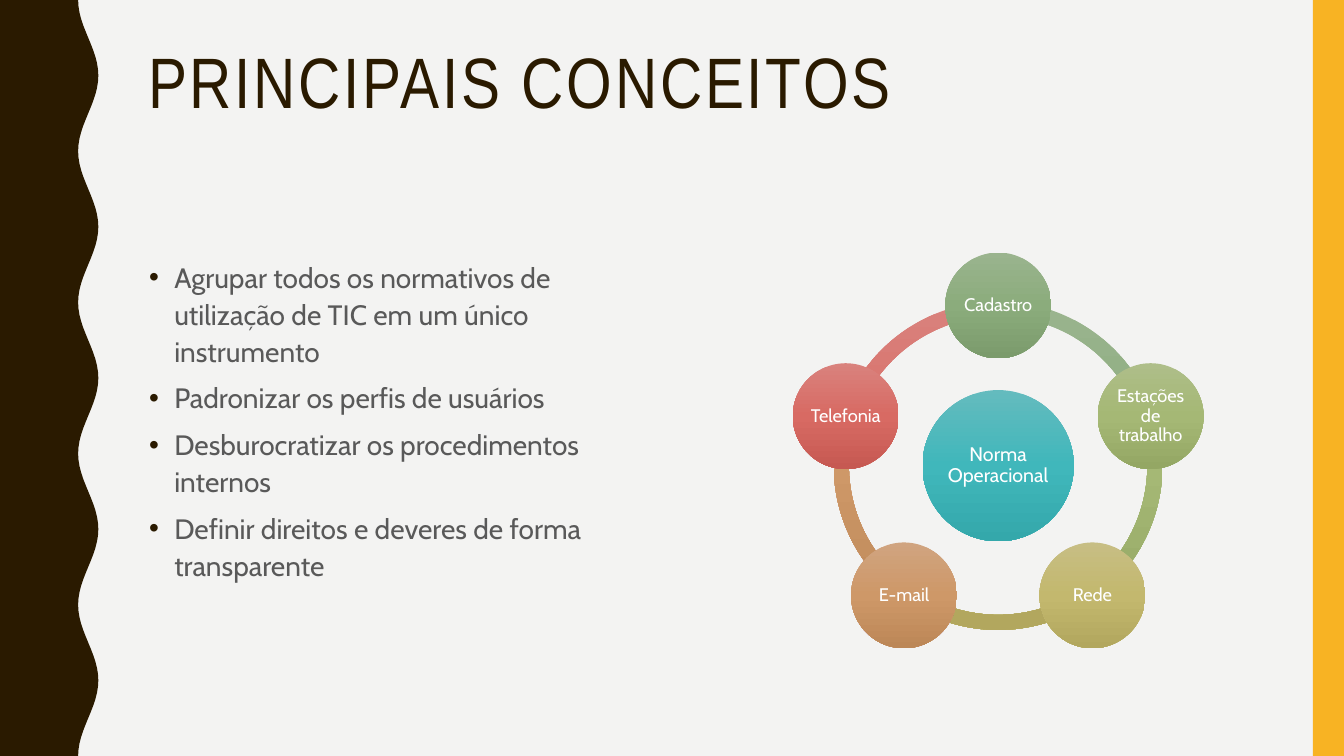
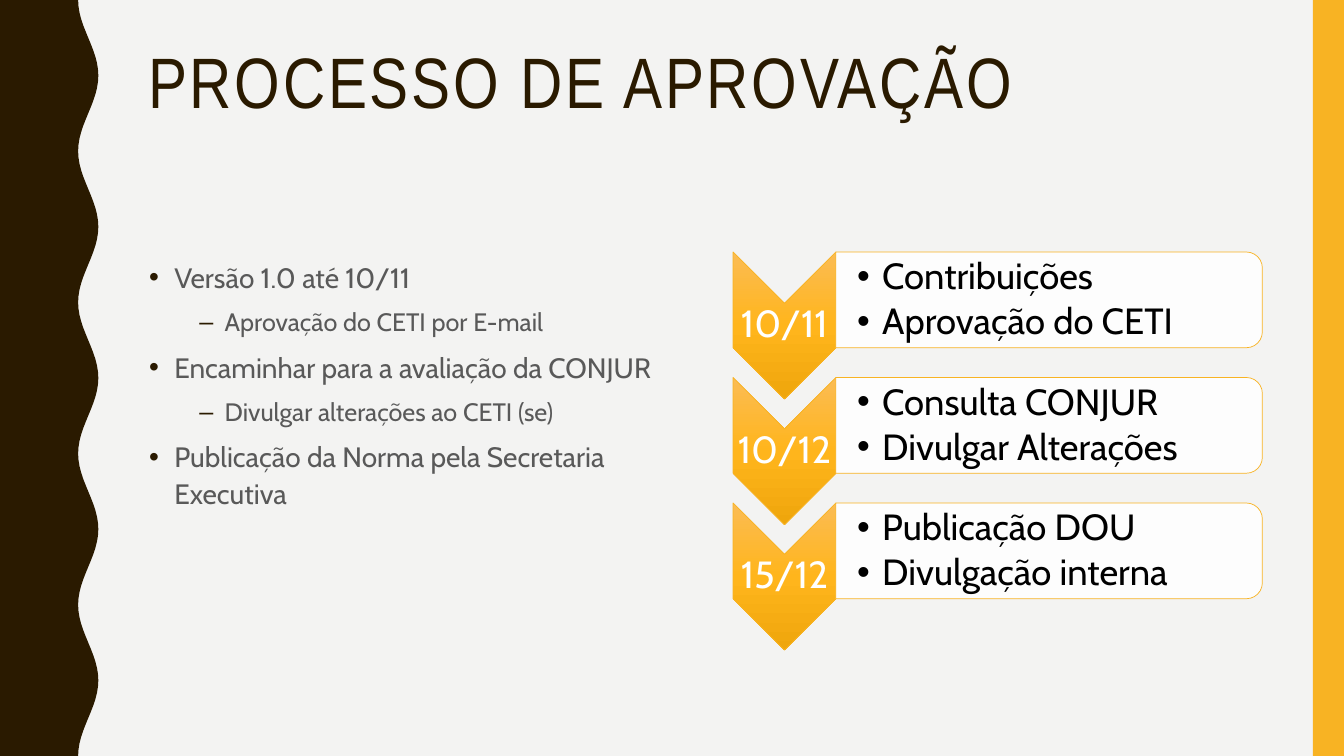
"""Builds two slides: the key concepts of the operational standard and its approval process."""
import math

import lxml.etree
import pptx
import pptx.dml.color
import pptx.enum.shapes
import pptx.enum.text
import pptx.oxml
import pptx.oxml.ns
import pptx.util

Inches = pptx.util.Inches
Pt = pptx.util.Pt
RGB = pptx.dml.color.RGBColor.from_string
SHAPE = pptx.enum.shapes.MSO_SHAPE
ANCHOR = pptx.enum.text.MSO_ANCHOR
ALIGN = pptx.enum.text.PP_ALIGN
qn = pptx.oxml.ns.qn

COLORS = {
    "paper": "F3F3F2",
    "brown": "2A1A00",
    "amber": "F8B323",
    "gray": "595959",
    "white": "FFFFFF",
    "black": "000000",
}
GRADIENTS = {
    "teal": ("64BBBE", "40B7BB", "34A8AB"),
    "green": ("9AB48E", "8BAC7C", "7B9B6C"),
    "olive": ("AEBE89", "A5B875", "94A764"),
    "khaki": ("C7BE84", "C3B86E", "B2A75E"),
    "copper": ("D0A480", "CE9868", "BC8757"),
    "red": ("D9827D", "D86A63", "C65952"),
    "amber": ("FBBC54", "FFB51C", "EFA60C"),
}


def add_gradient_shape(slide, kind, center_x, center_y, width, height, gradient, angle=90):
    """Adds a centred preset shape with a three-stop gradient and no outline."""
    shape = slide.shapes.add_shape(kind, Inches(center_x - width / 2), Inches(center_y - height / 2),
                                   Inches(width), Inches(height))
    shape.shadow.inherit = False
    shape.line.fill.background()
    stops = "".join(f'<a:gs pos="{i * 50000}"><a:srgbClr val="{color}"/></a:gs>'
                    for i, color in enumerate(GRADIENTS[gradient]))
    fill = pptx.oxml.parse_xml(
        f'<a:gradFill {pptx.oxml.ns.nsdecls("a")} rotWithShape="1"><a:gsLst>{stops}</a:gsLst>'
        f'<a:lin ang="{angle * 60000}" scaled="0"/></a:gradFill>')
    shape._element.spPr.find(qn("a:prstGeom")).addnext(fill)
    return shape


def write(frame, lines, size, color, font="Cabin", align=ALIGN.LEFT, anchor=ANCHOR.MIDDLE,
          inset=0.02, left_inset=None, spacing=0.9, before=0, after=0, bullet_color=None):
    """Fills a text frame with (text, level) lines, bulleted when a bullet colour is given."""
    frame.word_wrap = True
    frame.vertical_anchor = anchor
    frame.margin_left = Inches(inset if left_inset is None else left_inset)
    frame.margin_right = frame.margin_top = frame.margin_bottom = Inches(inset)
    frame.text = "\n".join(text for text, level in lines)
    for paragraph, (text, level) in zip(frame.paragraphs, lines):
        paragraph.alignment = align
        paragraph.line_spacing = spacing
        paragraph.space_before = Pt(before)
        paragraph.space_after = Pt(after)
        run = paragraph.runs[0]
        run.font.size = Pt(size - 2 * level)
        run.font.name = font
        run.font.color.rgb = RGB(COLORS[color])
        if bullet_color:
            paragraph.level = level
            properties = paragraph._p.get_or_add_pPr()
            properties.set("marL", str(Inches(0.25 + 0.5 * level)))
            properties.set("indent", str(Inches(-0.25)))
            tint = lxml.etree.SubElement(properties, qn("a:buClr"))
            lxml.etree.SubElement(tint, qn("a:srgbClr")).set("val", COLORS[bullet_color])
            lxml.etree.SubElement(properties, qn("a:buFont")).set("typeface", "Arial")
            lxml.etree.SubElement(properties, qn("a:buChar")).set("char", "•–"[level])


deck = pptx.Presentation()
deck.slide_width = Inches(13.33)
deck.slide_height = Inches(7.5)
background = deck.slide_master.background.fill
background.solid()
background.fore_color.rgb = RGB(COLORS["paper"])

contents = [
    ("PRINCIPAIS CONCEITOS", [
        ("Agrupar todos os normativos de utilização de TIC em um único instrumento", 0),
        ("Padronizar os perfis de usuários", 0),
        ("Desburocratizar os procedimentos internos", 0),
        ("Definir direitos e deveres de forma transparente", 0),
    ]),
    ("PROCESSO DE APROVAÇÃO", [
        ("Versão 1.0 até 10/11", 0),
        ("Aprovação do CETI por E-mail", 1),
        ("Encaminhar para a avaliação da CONJUR", 0),
        ("Divulgar alterações ao CETI (se)", 1),
        ("Publicação da Norma pela Secretaria Executiva", 0),
    ]),
]

wave_steps = 120
wave_edge = []
for step in range(wave_steps + 1):
    y = 7.5 * step / wave_steps
    x = 0.875 - 0.1 * math.cos(2 * math.pi * y / 1.5)
    wave_edge.append((Inches(x), Inches(y)))

for title, points in contents:
    slide = deck.slides.add_slide(deck.slide_layouts[6])

    outline = slide.shapes.build_freeform(0, 0, scale=1.0)
    outline.add_line_segments(wave_edge + [(0, Inches(7.5))], close=True)
    wave = outline.convert_to_shape()
    band = slide.shapes.add_shape(SHAPE.RECTANGLE, Inches(13.02), 0, Inches(0.31), Inches(7.5))
    for edge, color in ((wave, "brown"), (band, "amber")):
        edge.shadow.inherit = False
        edge.fill.solid()
        edge.fill.fore_color.rgb = RGB(COLORS[color])
        edge.line.fill.background()

    heading = slide.shapes.add_textbox(Inches(1.37), Inches(0.42), Inches(11.13), Inches(1.63)).text_frame
    write(heading, [(title, 0)], 51, "brown", font="Arial Narrow", anchor=ANCHOR.TOP,
          inset=0.05, left_inset=0.1)
    heading.paragraphs[0].runs[0]._r.get_or_add_rPr().set("spc", "200")

    body = slide.shapes.add_textbox(Inches(1.38), Inches(2.5), Inches(5.25), Inches(3.96)).text_frame
    write(body, points, 20, "gray", anchor=ANCHOR.TOP, inset=0.05, left_inset=0.1,
          spacing=1.1, before=7, bullet_color="brown")

concepts, process = deck.slides

topics = [
    ("Cadastro", "green"),
    ("Estações de trabalho", "olive"),
    ("Rede", "khaki"),
    ("E-mail", "copper"),
    ("Telefonia", "red"),
]
ring_x, ring_y, ring_radius = 9.9, 4.62, 1.59
sector = 360 / len(topics)
for i, (topic, gradient) in enumerate(topics):
    start = (270 + sector * i) % 360
    arc = add_gradient_shape(concepts, SHAPE.BLOCK_ARC, ring_x, ring_y, 3.26, 3.26, gradient)
    arc.adjustments[0] = start * 0.6
    arc.adjustments[1] = (start + sector) % 360 * 0.6
    arc.adjustments[2] = 0.046

hub = add_gradient_shape(concepts, SHAPE.OVAL, ring_x, ring_y, 1.5, 1.5, "teal")
write(hub.text_frame, [("Norma Operacional", 0)], 14, "white", align=ALIGN.CENTER)
for i, (topic, gradient) in enumerate(topics):
    angle = math.radians(270 + sector * i)
    node = add_gradient_shape(concepts, SHAPE.OVAL, ring_x + ring_radius * math.cos(angle),
                              ring_y + ring_radius * math.sin(angle), 1.05, 1.05, gradient)
    write(node.text_frame, [(topic, 0)], 13, "white", align=ALIGN.CENTER)

stages = [
    ("10/11", ["Contribuições", "Aprovação do CETI"]),
    ("10/12", ["Consulta CONJUR", "Divulgar Alterações"]),
    ("15/12", ["Publicação DOU", "Divulgação interna"]),
]
for i, (date, tasks) in enumerate(stages):
    top = 2.5 + 1.245 * i

    chevron = add_gradient_shape(process, SHAPE.CHEVRON, 7.78, top + 0.73, 1.46, 1.02, "amber", angle=0)
    chevron.rotation = 90
    panel = process.shapes.add_shape(SHAPE.ROUND_2_SAME_RECTANGLE, Inches(9.93), Inches(top - 1.64),
                                     Inches(0.95), Inches(4.23))
    panel.rotation = 90
    panel.shadow.inherit = False
    panel.fill.solid()
    panel.fill.fore_color.rgb = RGB(COLORS["white"])
    white = panel._element.spPr.find(qn("a:solidFill")).find(qn("a:srgbClr"))
    lxml.etree.SubElement(white, qn("a:alpha")).set("val", "90000")
    for outlined in (chevron, panel):
        outlined.line.color.rgb = RGB(COLORS["amber"])
        outlined.line.width = Pt(0.5)

    date_label = process.shapes.add_textbox(Inches(7.27), Inches(top + 0.51), Inches(1.02), Inches(0.44))
    write(date_label.text_frame, [(date, 0)], 27, "white", align=ALIGN.CENTER)
    task_list = process.shapes.add_textbox(Inches(8.3), Inches(top + 0.05), Inches(4.18), Inches(0.86))
    write(task_list.text_frame, [(task, 0) for task in tasks], 26, "black", left_inset=0.2,
          after=4, bullet_color="black")

deck.save("out.pptx")
